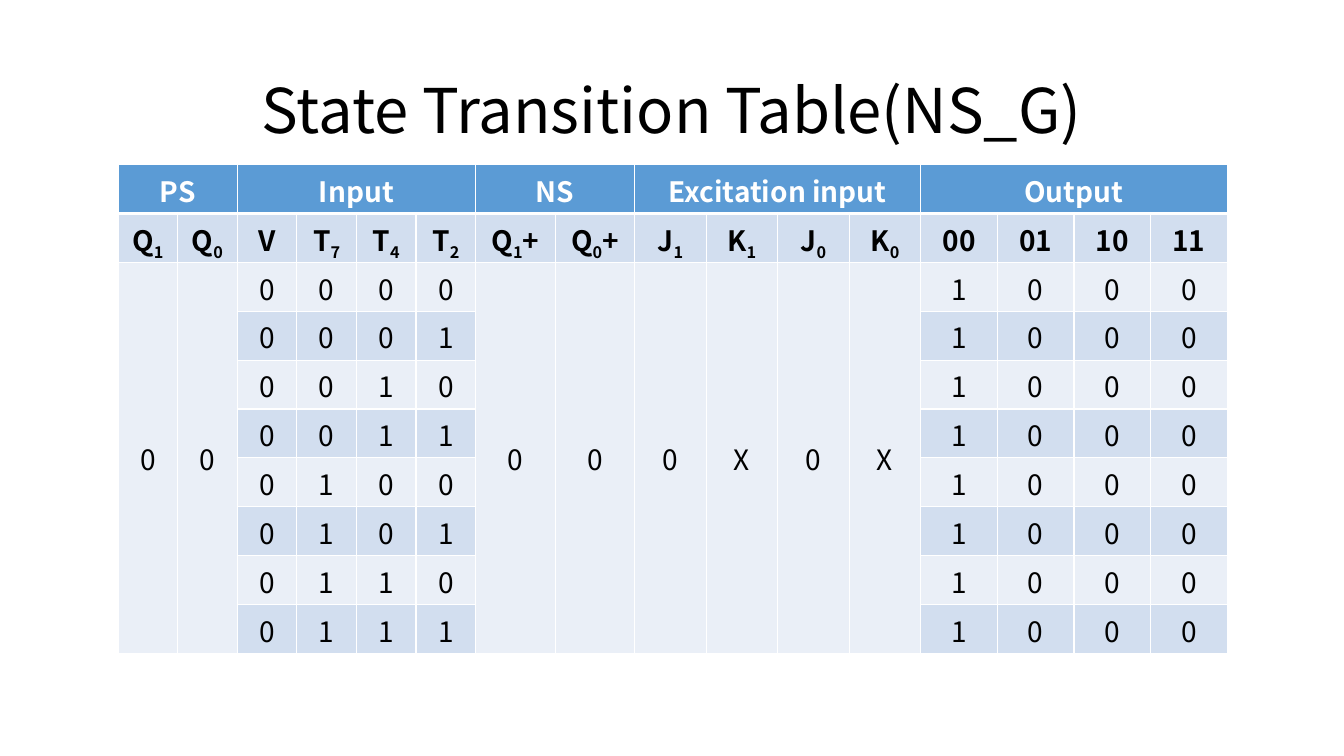
from dataclasses import dataclass
from itertools import product

from lxml import etree
from pptx import Presentation
from pptx.dml.color import RGBColor
from pptx.enum.text import MSO_ANCHOR, PP_ALIGN
from pptx.oxml.ns import qn
from pptx.slide import Slide
from pptx.table import Table, _Cell
from pptx.text.text import _Paragraph
from pptx.util import Pt

CENTER = PP_ALIGN.CENTER
MIDDLE = MSO_ANCHOR.MIDDLE
FONT = "Noto Sans CJK KR"
BLACK = RGBColor(0x00, 0x00, 0x00)
WHITE = RGBColor(0xFF, 0xFF, 0xFF)
HEADER_BLUE = RGBColor(0x5B, 0x9B, 0xD5)
BAND_DARK = RGBColor(0xD2, 0xDE, 0xEF)
BAND_LIGHT = RGBColor(0xEA, 0xEF, 0xF7)
ROW_HEIGHT = 34.92
THIN, THICK = 1, 3


@dataclass
class Group:
    title: str
    signals: list[str]
    column_width: float
    shared_values: str = ""


GROUPS = [
    Group("PS", ["Q_1", "Q_0"], 42.6, "00"),
    Group("Input", ["V", "T_7", "T_4", "T_2"], 42.6),
    Group("NS", ["Q_1+", "Q_0+"], 56.8, "00"),
    Group("Excitation input", ["J_1", "K_1", "J_0", "K_0"], 51.1, "0X0X"),
    Group("Output", ["00", "01", "10", "11"], 54.75),
]
INPUT_ROWS = ["0" + "".join(bits) for bits in product("01", repeat=3)]
STATE_ROWS = {"Input": INPUT_ROWS, "Output": ["1000"] * len(INPUT_ROWS)}
ROW_COUNT = 2 + len(INPUT_ROWS)


def style_paragraph(para: _Paragraph, size: float, color: RGBColor, bold: bool) -> None:
    para.alignment = CENTER
    para.font.name = FONT
    para.font.size = Pt(size)
    para.font.bold = bold
    para.font.color.rgb = color


def add_signal(para: _Paragraph, signal: str) -> None:
    base, _, rest = signal.partition("_")
    para.add_run().text = base
    if rest:
        span = para.add_run()
        span.text = rest[0]
        span._r.get_or_add_rPr().set("baseline", "-25000")
    if rest[1:]:
        para.add_run().text = rest[1:]


def fill_cell(cell: _Cell, text: str, row: int) -> None:
    para = cell.text_frame.paragraphs[0]
    style_paragraph(para, 20, WHITE if row == 0 else BLACK, row < 2)
    add_signal(para, text)


def format_cell(cell: _Cell, row: int) -> None:
    cell.vertical_anchor = MIDDLE
    properties = cell._tc.get_or_add_tcPr()
    top = THICK if row == 1 else THIN
    bottom = THICK if row == 0 else THIN
    for side, width in (("L", THIN), ("R", THIN), ("T", top), ("B", bottom)):
        line = etree.SubElement(properties, qn(f"a:ln{side}"), w=str(Pt(width)))
        solid = etree.SubElement(line, qn("a:solidFill"))
        etree.SubElement(solid, qn("a:srgbClr"), val=str(WHITE))
    cell.fill.solid()
    band = BAND_DARK if row % 2 else BAND_LIGHT
    cell.fill.fore_color.rgb = HEADER_BLUE if row == 0 else band


def fill_group(table: Table, group: Group, first: int) -> None:
    last = first + len(group.signals) - 1
    table.cell(0, first).merge(table.cell(0, last))
    fill_cell(table.cell(0, first), group.title, 0)
    for offset, signal in enumerate(group.signals):
        column = first + offset
        table.columns[column].width = Pt(group.column_width)
        fill_cell(table.cell(1, column), signal, 1)
        if group.shared_values:
            table.cell(2, column).merge(table.cell(ROW_COUNT - 1, column))
            fill_cell(table.cell(2, column), group.shared_values[offset], 2)
        else:
            for row, values in enumerate(STATE_ROWS[group.title], 2):
                fill_cell(table.cell(row, column), values[offset], row)


def add_title(page: Slide) -> None:
    box = page.shapes.add_textbox(Pt(66), Pt(28.75), Pt(828), Pt(104.4))
    box.text_frame.word_wrap = True
    box.text_frame.vertical_anchor = MIDDLE
    para = box.text_frame.paragraphs[0]
    para.line_spacing = 0.9
    style_paragraph(para, 44, BLACK, False)
    para.add_run().text = "State Transition Table(NS_G)"


def add_state_table(page: Slide) -> None:
    column_count = sum(len(group.signals) for group in GROUPS)
    width = sum(len(group.signals) * group.column_width for group in GROUPS)
    table = page.shapes.add_table(
        ROW_COUNT, column_count, Pt(84.3), Pt(117.7), Pt(width), Pt(ROW_COUNT * ROW_HEIGHT)
    ).table
    table.horz_banding = False
    for row, column in product(range(ROW_COUNT), range(column_count)):
        format_cell(table.cell(row, column), row)
    first = 0
    for group in GROUPS:
        fill_group(table, group, first)
        first += len(group.signals)


def main() -> None:
    deck = Presentation()
    deck.slide_width, deck.slide_height = Pt(960), Pt(540)
    page = deck.slides.add_slide(deck.slide_layouts[6])
    add_title(page)
    add_state_table(page)
    deck.save("out.pptx")


if __name__ == "__main__":
    main()
